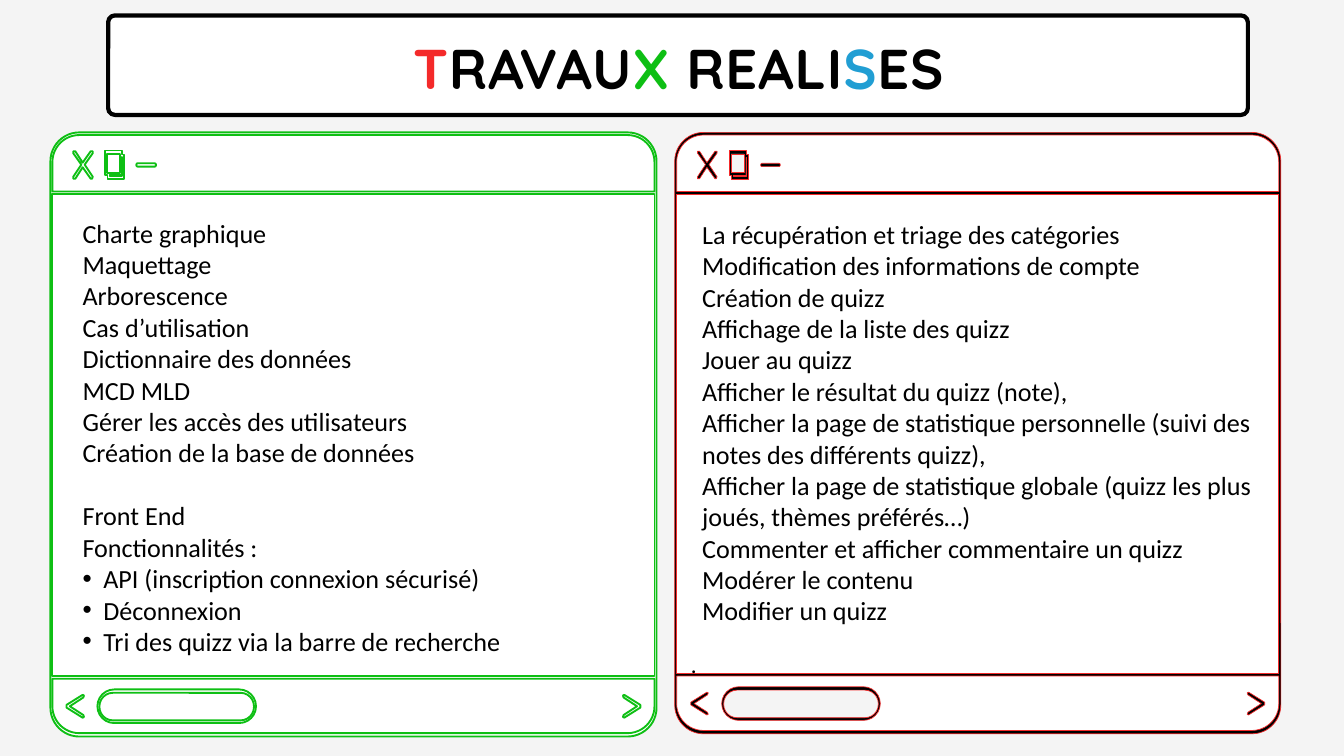
import pptx
import pptx.dml.color
import pptx.enum.shapes
import pptx.enum.text
import pptx.util
from lxml import etree
from pptx.oxml.ns import qn
from pptx.util import Inches

RGBColor = pptx.dml.color.RGBColor
MSO_SHAPE = pptx.enum.shapes.MSO_SHAPE
PP_ALIGN = pptx.enum.text.PP_ALIGN

BLACK = RGBColor(0x00, 0x00, 0x00)
WHITE = RGBColor(0xFF, 0xFF, 0xFF)
PALE = RGBColor(0xF4, 0xF4, 0xF4)
GREEN = RGBColor(0x0E, 0xBF, 0x14)
RED = RGBColor(0xF4, 0x2A, 0x2A)
BLUE = RGBColor(0x21, 0x9E, 0xD3)

CROSS = [(0.34, 2.25), (0.37, 2.25), (0.48, 2.42), (0.6, 2.25),
         (0.63, 2.25), (0.63, 2.28), (0.51, 2.45), (0.63, 2.63),
         (0.62, 2.66), (0.6, 2.66), (0.48, 2.49), (0.37, 2.66),
         (0.34, 2.66), (0.34, 2.63), (0.46, 2.45), (0.34, 2.28)]
PAGES_EDGE = [(0.81, 2.24), (1.06, 2.24), (1.06, 2.3), (1.1, 2.3),
              (1.1, 2.67), (0.85, 2.67), (0.85, 2.61), (0.81, 2.61)]
BACK_PAGE = [(0.88, 2.62), (1.07, 2.62), (1.07, 2.34), (1.06, 2.34),
             (1.06, 2.61), (0.88, 2.61)]
CHEVRON = [(0.5, 10.35), (0.49, 10.38), (0.29, 10.51), (0.49, 10.64),
           (0.5, 10.67), (0.48, 10.68), (0.24, 10.53), (0.24, 10.49),
           (0.48, 10.34)]
WINDOW_WIDTH = 9.02

TITLE = [("T", RED), ("RAVAU", BLACK), ("X", GREEN), (" REALI", BLACK),
         ("S", BLUE), ("ES", BLACK)]
DESIGN_WORK = [
    "Charte graphique", "Maquettage", "Arborescence", "Cas d’utilisation",
    "Dictionnaire des données", "MCD MLD", "Gérer les accès des utilisateurs",
    "Création de la base de données"]
FRONT_END = ["Front End", "Fonctionnalités :"]
FEATURES = ["API (inscription connexion sécurisé)", "Déconnexion",
            "Tri des quizz via la barre de recherche"]
QUIZ_WORK = [
    "La récupération et triage des catégories",
    "Modification des informations de compte",
    "Création de quizz",
    "Affichage de la liste des quizz",
    "Jouer au quizz",
    "Afficher le résultat du quizz (note),",
    "Afficher la page de statistique personnelle (suivi des notes des différents quizz),",
    "Afficher la page de statistique globale (quizz les plus joués, thèmes préférés…)",
    "Commenter et afficher commentaire un quizz",
    "Modérer le contenu",
    "Modifier un quizz"]


def paint(shape, fill, line, weight):
    shape.shadow.inherit = False
    shape.fill.solid()
    shape.fill.fore_color.rgb = fill
    shape.line.color.rgb = line
    shape.line.width = pptx.util.Pt(weight)


def add_panel(slide, kind, box, radii, fill, line, weight):
    panel = slide.shapes.add_shape(kind, *(Inches(v) for v in box))
    for index, radius in enumerate(radii):
        panel.adjustments[index] = radius / min(box[2:])
    paint(panel, fill, line, weight)


def add_glyph(slide, points, left, down, fill, line, weight):
    corners = [(Inches(left + x), Inches(down + y)) for x, y in points]
    builder = slide.shapes.build_freeform(*corners[0], scale=1.0)
    builder.add_line_segments(corners[1:], close=True)
    paint(builder.convert_to_shape(), fill, line, weight)


def add_window(slide, left, lift, line, weight, frame, inset):
    rounded, tab = MSO_SHAPE.ROUNDED_RECTANGLE, MSO_SHAPE.ROUND_2_SAME_RECTANGLE
    inner = WINDOW_WIDTH - 0.06
    panels = [
        (rounded, (0, 1.97, WINDOW_WIDTH, 8.99 - lift), [0.43], frame),
        (tab, (0.03, 2.01, inner, 0.84), [0.4, 0], WHITE),
        (MSO_SHAPE.RECTANGLE, (0.03, 2.89, inner, 7.17 - lift), [], WHITE),
        (tab, (0.03, 10.1 - lift, inner, 0.81), [0, 0.4], WHITE),
        (rounded, (0.7, 10.26 - lift, 2.36, 0.5), [0.25], frame),
        (rounded, (0.73, 10.31 - lift, 2.3, 0.41), [0.2], inset),
        (rounded, (1.28, 2.43, 0.29, 0.05), [0.02], frame),
    ]
    for kind, (x, y, width, height), radii, fill in panels:
        add_panel(slide, kind, (left + x, y, width, height), radii, fill, line, weight)

    next_arrow = [(WINDOW_WIDTH - x, y) for x, y in CHEVRON]
    glyphs = [(CROSS, 0, frame), (PAGES_EDGE, 0, frame), (BACK_PAGE, 0, inset),
              (CHEVRON, -lift, frame), (next_arrow, -lift, frame)]
    for points, down, fill in glyphs:
        add_glyph(slide, points, left, down, fill, line, weight)
    add_panel(slide, MSO_SHAPE.RECTANGLE, (left + 0.84, 2.29, 0.19, 0.28), [],
              inset, line, weight)


def add_bullet(paragraph):
    properties = paragraph._p.get_or_add_pPr()
    properties.set("marL", str(Inches(0.31)))
    properties.set("indent", str(Inches(-0.31)))
    etree.SubElement(properties, qn("a:buFont")).set("typeface", "Arial")
    etree.SubElement(properties, qn("a:buChar")).set("char", "•")


def add_text(slide, box, paragraphs, *, font="Calibri", size=28, bold=False,
             align=PP_ALIGN.LEFT, pitch=None, tracking=None, inset=None,
             bullets=(), gap_before=None):
    frame = slide.shapes.add_textbox(*(Inches(v) for v in box)).text_frame
    frame.word_wrap = True
    if inset is not None:
        frame.margin_left = frame.margin_right = Inches(inset)
        frame.margin_top = frame.margin_bottom = Inches(inset)
    for index, runs in enumerate(paragraphs):
        paragraph = frame.add_paragraph() if index else frame.paragraphs[0]
        paragraph.alignment = align
        if pitch:
            paragraph.line_spacing = pptx.util.Pt(pitch)
        if runs == gap_before:
            paragraph.space_before = pptx.util.Pt(34)
        if runs in bullets:
            add_bullet(paragraph)
        for words, color in [(runs, BLACK)] if isinstance(runs, str) else runs:
            run = paragraph.add_run()
            run.text = words
            run.font.name = font
            run.font.size = pptx.util.Pt(size)
            run.font.bold = bold
            run.font.color.rgb = color
            if tracking:
                run._r.get_or_add_rPr().set("spc", str(round(tracking * 100)))


def main():
    """Build the slide of completed work and save it."""
    deck = pptx.Presentation()
    deck.slide_width, deck.slide_height = Inches(20), Inches(11.25)
    slide = deck.slides.add_slide(deck.slide_layouts[6])
    slide.background.fill.solid()
    slide.background.fill.fore_color.rgb = PALE

    add_window(slide, 0.75, 0, GREEN, 2, WHITE, WHITE)
    add_window(slide, 10.04, 0.04, RED, 0.75, BLACK, PALE)
    add_text(slide, (3.79, 9.66, 13.07, 0.4), ["."], font="Lato", size=24,
             align=PP_ALIGN.CENTER, pitch=31.2, inset=0)

    add_panel(slide, MSO_SHAPE.ROUNDED_RECTANGLE, (1.61, 0.23, 16.96, 1.48), [0.1],
              WHITE, BLACK, 4.5)
    add_text(slide, (1.62, 0.36, 16.95, 1.11), [TITLE], font="Quicksand", size=60,
             bold=True, align=PP_ALIGN.CENTER, pitch=78.4, tracking=0.8)

    add_text(slide, (1.13, 3.18, 7.78, 8.11), DESIGN_WORK + FRONT_END + FEATURES,
             bullets=FEATURES, gap_before=FRONT_END[0])
    add_text(slide, (10.35, 3.2, 8.68, 6.23), QUIZ_WORK)
    deck.save("out.pptx")


if __name__ == "__main__":
    main()
